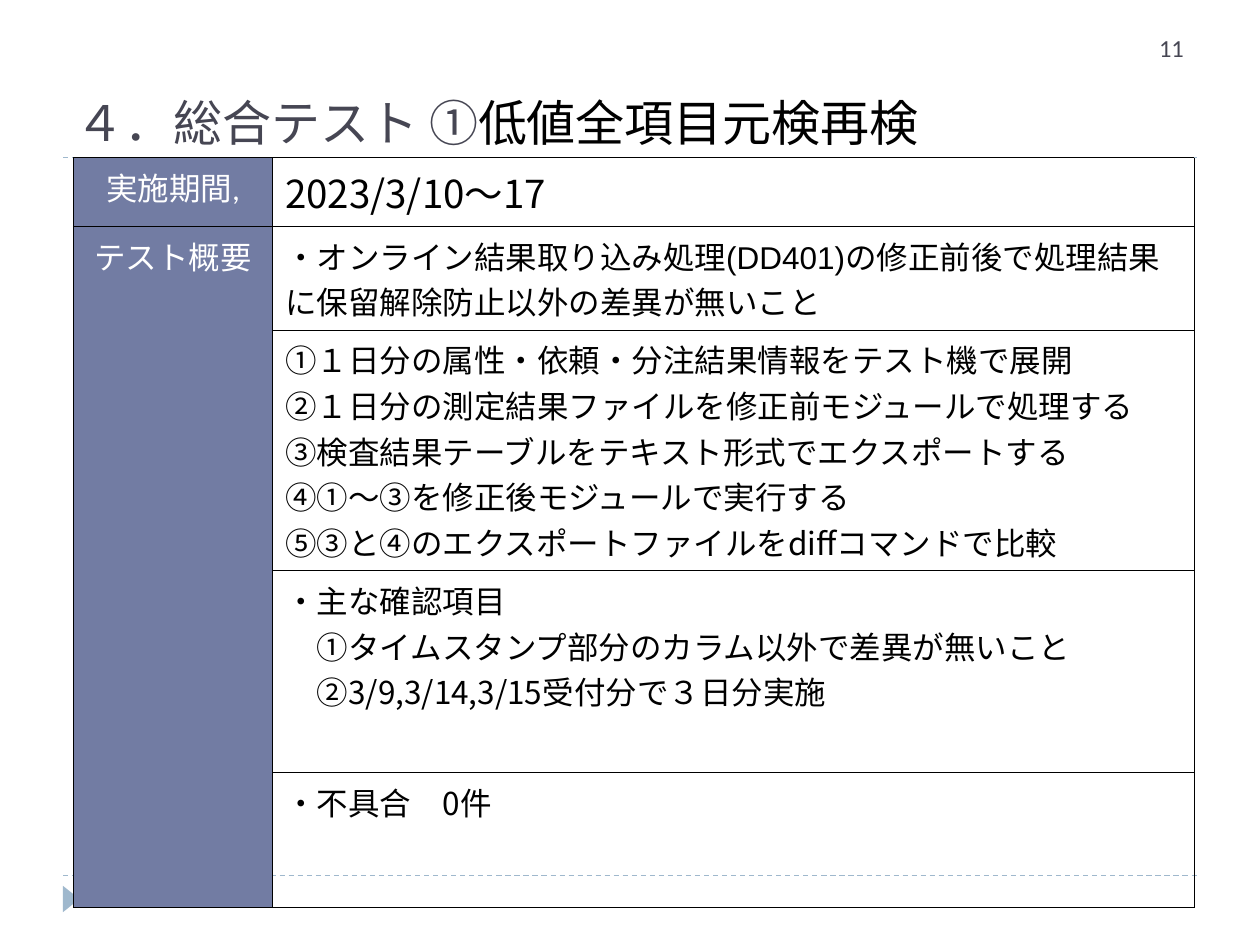
from lxml import etree
from pptx import Presentation
from pptx.dml.color import RGBColor
from pptx.enum.dml import MSO_LINE
from pptx.enum.shapes import MSO_CONNECTOR, MSO_SHAPE
from pptx.enum.text import MSO_ANCHOR, MSO_AUTO_SIZE, PP_ALIGN
from pptx.oxml.ns import qn
from pptx.util import Pt

STRAIGHT = MSO_CONNECTOR.STRAIGHT
TRIANGLE = MSO_SHAPE.ISOSCELES_TRIANGLE
DASH = MSO_LINE.DASH
LEFT, CENTER = PP_ALIGN.LEFT, PP_ALIGN.CENTER
TOP, BOTTOM = MSO_ANCHOR.TOP, MSO_ANCHOR.BOTTOM
NO_AUTOFIT = MSO_AUTO_SIZE.NONE

BLACK = RGBColor(0x00, 0x00, 0x00)
WHITE = RGBColor(0xFF, 0xFF, 0xFF)
HEADING = RGBColor(0x46, 0x46, 0x53)
LABEL_FILL = RGBColor(0x72, 0x7C, 0xA3)
ACCENT = RGBColor(0x9F, 0xB8, 0xCD)

JAPANESE = "Noto Sans CJK JP"
ARIAL = "Arial"
CALIBRI = "Calibri"

TITLE = "４．総合テスト ①"
TITLE_TOPIC = "低値全項目元検再検"
PERIOD = "2023/3/10～17"
SUMMARY = "オンライン結果取り込み処理(DD401)の修正前後で処理結果に保留解除防止以外の差異が無いこと"
STEPS = [
    "①１日分の属性・依頼・分注結果情報をテスト機で展開",
    "②１日分の測定結果ファイルを修正前モジュールで処理する",
    "③検査結果テーブルをテキスト形式でエクスポートする",
    "④①～③を修正後モジュールで実行する",
    "⑤③と④のエクスポートファイルをdiffコマンドで比較",
]
CHECKS = [
    "・主な確認項目",
    "　①タイムスタンプ部分のカラム以外で差異が無いこと",
    "　②3/9,3/14,3/15受付分で３日分実施",
]
DEFECTS = "・不具合　0件"

COLUMN_WIDTHS = (114, 526.5)
ROW_HEIGHTS = (38.9, 59.4, 137, 115.4, 77.2)


def add_text(paragraph, text, size=18, font=JAPANESE, color=BLACK, align=LEFT):
    paragraph.alignment = align
    run = paragraph.add_run()
    run.text = text
    run.font.size = Pt(size)
    run.font.name = font
    run.font.bold = False
    run.font.color.rgb = color
    east_asian = etree.Element(qn("a:ea"), typeface=JAPANESE)
    run.font._element.find(qn("a:latin")).addnext(east_asian)


def add_lines(text_frame, lines, **text_format):
    """Write each line as a paragraph, starting with the existing first one."""
    for index, line in enumerate(lines):
        paragraph = text_frame.add_paragraph() if index else text_frame.paragraphs[0]
        add_text(paragraph, line, **text_format)


def add_dashed_rule(slide, y):
    rule = slide.shapes.add_connector(STRAIGHT, Pt(36), Pt(y), Pt(684), Pt(y))
    rule.line.color.rgb = ACCENT
    rule.line.width = Pt(0.75)
    rule.line.dash_style = DASH
    etree.SubElement(rule._element.spPr, qn("a:effectLst"))


def add_page_marker(slide):
    marker = slide.shapes.add_shape(TRIANGLE, Pt(33.1), Pt(509), Pt(15.1), Pt(9.4))
    marker.rotation = 90
    marker.shadow.inherit = False
    marker.fill.solid()
    marker.fill.fore_color.rgb = ACCENT
    marker.line.fill.background()


def format_title(slide):
    title = slide.shapes.title
    title.left, title.top, title.width, title.height = Pt(36), Pt(18), Pt(648), Pt(72)
    text_frame = title.text_frame
    text_frame.auto_size = NO_AUTOFIT
    text_frame.vertical_anchor = BOTTOM
    paragraph = text_frame.paragraphs[0]
    add_text(paragraph, TITLE, size=28, color=HEADING)
    add_text(paragraph, TITLE_TOPIC, size=28, font=ARIAL)


def add_page_number(slide):
    box = slide.shapes.add_textbox(Pt(655.2), Pt(15.1), Pt(60), Pt(28.8))
    box.text_frame.word_wrap = True
    add_lines(box.text_frame, ["11"], size=14, font=CALIBRI, color=HEADING)


def set_cell_borders(cell):
    properties = cell._tc.get_or_add_tcPr()
    for index, side in enumerate(("lnL", "lnR", "lnT", "lnB")):
        border = etree.Element(qn(f"a:{side}"), w=str(Pt(0.45)))
        fill = etree.SubElement(border, qn("a:solidFill"))
        etree.SubElement(fill, qn("a:srgbClr"), val=str(BLACK))
        properties.insert(index, border)


def add_test_table(slide):
    frame = slide.shapes.add_table(
        len(ROW_HEIGHTS), len(COLUMN_WIDTHS), Pt(41.8), Pt(90.2),
        Pt(sum(COLUMN_WIDTHS)), Pt(sum(ROW_HEIGHTS)))
    table = frame.table
    table.first_row = False
    table.horz_banding = False
    for column, width in zip(table.columns, COLUMN_WIDTHS):
        column.width = Pt(width)
    for row, height in zip(table.rows, ROW_HEIGHTS):
        row.height = Pt(height)
        label, content = row.cells
        label.fill.solid()
        label.fill.fore_color.rgb = LABEL_FILL
        content.fill.background()
        for cell in (label, content):
            cell.vertical_anchor = TOP
            set_cell_borders(cell)
    table.cell(1, 0).merge(table.cell(len(ROW_HEIGHTS) - 1, 0))

    for row, label in enumerate(("実施期間,", "テスト概要")):
        add_lines(table.cell(row, 0).text_frame, [label],
                  font=CALIBRI, color=WHITE, align=CENTER)
    add_lines(table.cell(0, 1).text_frame, [PERIOD], size=22)
    summary = table.cell(1, 1).text_frame.paragraphs[0]
    add_text(summary, "・", font=CALIBRI)
    add_text(summary, SUMMARY, font=ARIAL)
    for row, lines in enumerate((STEPS, CHECKS, [DEFECTS]), start=2):
        add_lines(table.cell(row, 1).text_frame, lines)


def main():
    presentation = Presentation()
    presentation.slide_width, presentation.slide_height = Pt(720), Pt(540)
    title_only = presentation.slide_layouts[5]
    slide = presentation.slides.add_slide(title_only)
    for y in (500.4, 90):
        add_dashed_rule(slide, y)
    add_page_marker(slide)
    add_test_table(slide)
    format_title(slide)
    add_page_number(slide)
    presentation.save("out.pptx")


if __name__ == "__main__":
    main()
